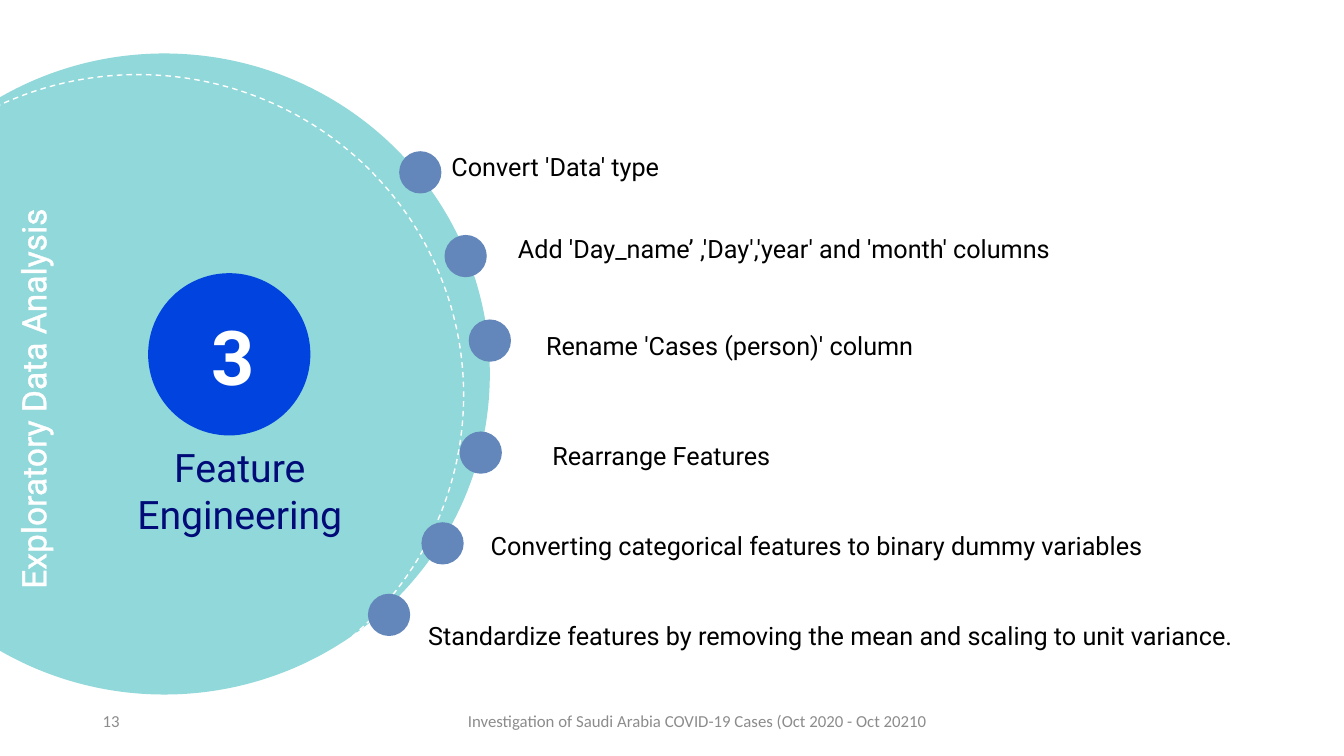
from pptx import Presentation
from pptx.dml.color import RGBColor
from pptx.enum.dml import MSO_LINE
from pptx.enum.shapes import MSO_SHAPE as Shape
from pptx.enum.text import MSO_ANCHOR as Anchor, PP_ALIGN as Align
from pptx.oxml import parse_xml
from pptx.oxml.ns import nsdecls
from pptx.util import Pt

# Content: text, dot (left, top), label (left, top, width, height)
STEPS = [
    ("Convert 'Data' type", (285.1, 108), (315.4, 104.4, 178.6, 51.1)),
    ("Add 'Day_name’ ,'Day','year' and 'month' columns",
     (317.5, 167.8), (362.9, 163.4, 426.2, 72.7)),
    ("Rename 'Cases (person)' column", (334.8, 228.2), (383, 232.6, 293.8, 51.1)),
    ("Rearrange Features", (328.3, 308.2), (387.4, 311, 181.4, 51.1)),
    ("Converting categorical features to binary dummy variables",
     (301, 373), (343.4, 375.1, 520.6, 28.8)),
    ("Standardize features by removing the mean and scaling to unit variance.",
     (262.8, 424.1), (298.8, 439.9, 630, 28.8)),
]
SECTION = "Exploratory Data Analysis"
STAGE_NUMBER = "3"
STAGE_TITLE = "Feature Engineering"
FOOTER = "Investigation of Saudi Arabia COVID-19 Cases (Oct 2020 - Oct 20210"
PAGE = "13"

TEAL, BLUE, DOT_BLUE = "91D8DA", "0043DE", "6387BA"
NAVY, GREY, WHITE, BLACK = "000B78", "8C8C8C", "FFFFFF", "000000"
DISC_SIZE = (465.1, 457.9)
DOT = 30.2

deck = Presentation()
deck.slide_width, deck.slide_height = Pt(960), Pt(540)
slide = deck.slides.add_slide(deck.slide_layouts[6])


def color(value):
    return RGBColor.from_string(value)


def add_circle(left, top, width, height, fill=None):
    circle = slide.shapes.add_shape(Shape.OVAL, Pt(left), Pt(top), Pt(width), Pt(height))
    circle.shadow.inherit = False
    if fill:
        circle.fill.solid()
        circle.fill.fore_color.rgb = color(fill)
        circle.line.fill.background()
    else:
        circle.fill.background()
    return circle


def add_text(text, box, size, ink, font="Roboto", align=Align.LEFT,
             anchor=Anchor.TOP, bold=False, spacing=None):
    label = slide.shapes.add_textbox(*map(Pt, box))
    frame = label.text_frame
    frame.word_wrap = True
    frame.vertical_anchor = anchor
    frame.text = text
    paragraph = frame.paragraphs[0]
    paragraph.alignment = align
    paragraph.line_spacing = spacing
    run = paragraph.runs[0]
    run.font.name, run.font.size, run.font.bold = font, Pt(size), bold
    run.font.color.rgb = color(ink)
    return label


# Large disc with its dashed ring
add_circle(-115.2, 38.2, *DISC_SIZE, TEAL)
ring = add_circle(-133.9, 53.3, *DISC_SIZE)
ring.line.color.rgb = color(WHITE)
ring.line.width = Pt(1)
ring.line.dash_style = MSO_LINE.DASH

# Footer and page number
add_text(FOOTER, (318.2, 500.4, 360, 28.8), 12, GREY, "Calibri", Align.CENTER, Anchor.MIDDLE)
add_text(PAGE, (66.2, 500.4, 216, 28.8), 12, GREY, "Calibri", anchor=Anchor.MIDDLE)

# Stage number and title
add_circle(105.8, 195.1, 115.9, 115.9, BLUE)
add_text(STAGE_NUMBER, (92.2, 207.4, 149, 101.5), 54, WHITE,
         align=Align.CENTER, anchor=Anchor.MIDDLE, bold=True, spacing=0.9)
add_text(STAGE_TITLE, (66.2, 313.2, 210.2, 74.9), 28, NAVY, align=Align.CENTER)

# Section name running up the left edge, with outlined letters
section = add_text(SECTION, (-206.6, 152.6, 445.7, 104.4), 24, WHITE,
                   anchor=Anchor.MIDDLE, spacing=1.5)
section.rotation = 270
letters = section.text_frame.paragraphs[0].runs[0].font
outline = parse_xml(
    f'<a:ln {nsdecls("a")} w="{Pt(0.75)}"><a:solidFill>'
    f'<a:srgbClr val="{WHITE}"/></a:solidFill></a:ln>')
section.text_frame.paragraphs[0].runs[0]._r.get_or_add_rPr().insert(0, outline)

# Steps around the disc
for step, dot, box in STEPS:
    add_text(step, box, 18, BLACK)
    add_circle(*dot, DOT, DOT, DOT_BLUE)

deck.save("out.pptx")
